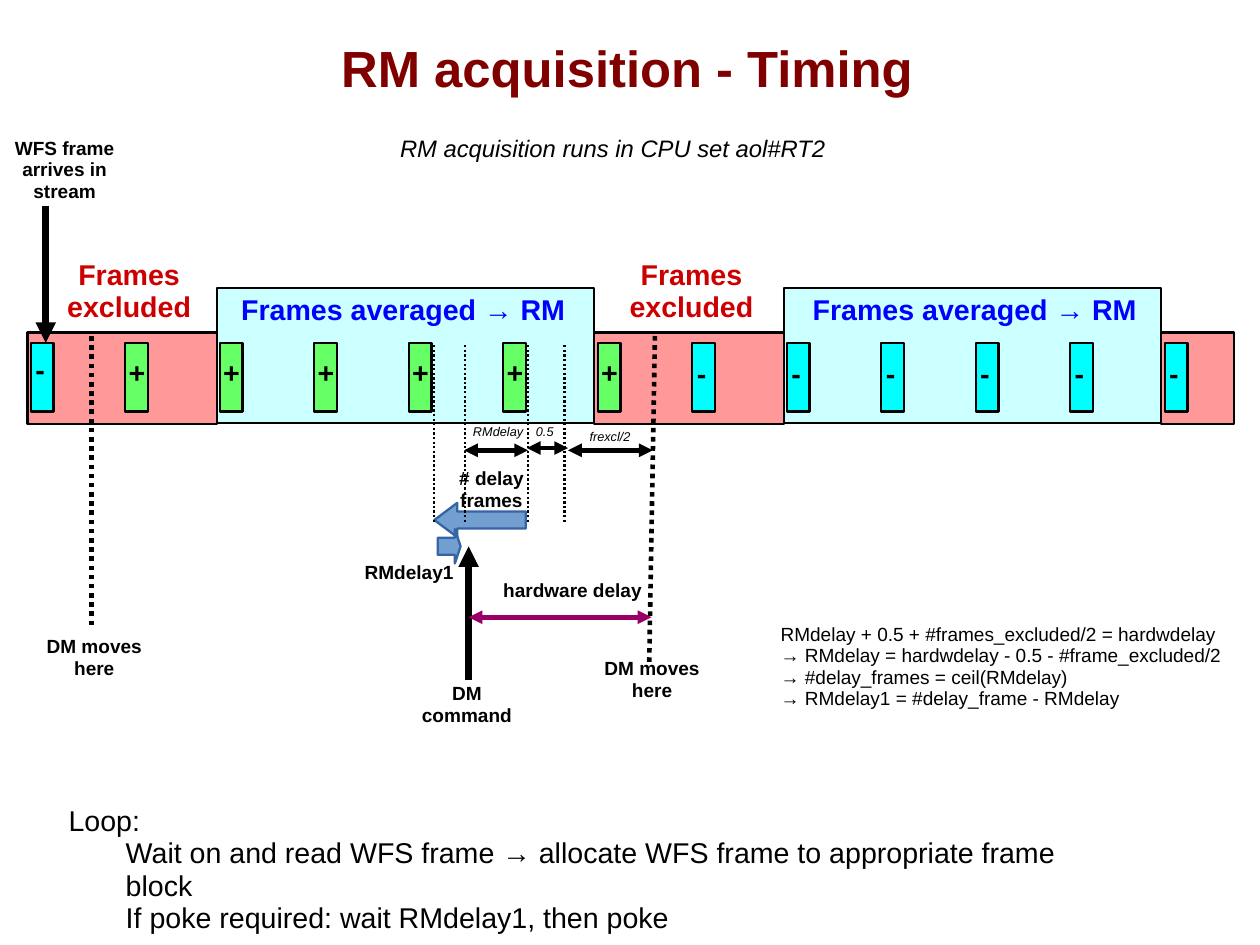
from lxml import etree
from pptx import Presentation
from pptx import util as u
from pptx.dml.color import RGBColor
from pptx.enum import dml, shapes, text
from pptx.oxml.ns import qn

Inches, Pt = u.Inches, u.Pt
LEFT, CENTER = text.PP_ALIGN.LEFT, text.PP_ALIGN.CENTER
BLACK, BLUE, RED, PURPLE = "000000", "0000FF", "CC0000", "990066"
LABEL = {"size": Pt(12), "bold": True}
HEADING = {"size": Pt(18), "bold": True}
SMALL = {"size": Pt(8), "italic": True}
CM_PER_INCH = 2.54


def color(hex_code):
    return RGBColor.from_string(hex_code)


def place(shape, left, top, width, height):
    box = {"left": left, "top": top, "width": width, "height": height}
    for name, value in box.items():
        setattr(shape, name, Inches(value))


def write(shape, lines, font, hex_code=BLACK, align=LEFT, wrap=True,
          inset=(0.11, 0.06), anchor=text.MSO_ANCHOR.TOP, indents=None):
    frame = shape.text_frame
    frame.text = "\n".join(lines)
    side, end = map(Inches, inset)
    frame_format = {"auto_size": text.MSO_AUTO_SIZE.NONE, "word_wrap": wrap,
                    "vertical_anchor": anchor, "margin_left": side,
                    "margin_right": side, "margin_top": end, "margin_bottom": end}
    for name, value in frame_format.items():
        setattr(frame, name, value)
    for index, paragraph in enumerate(frame.paragraphs):
        if indents:
            properties = paragraph._p.get_or_add_pPr()
            properties.set("marL", str(Inches(indents[index])))
            properties.set("indent", "0")
            etree.SubElement(properties, qn("a:buNone"))
        paragraph.alignment = align
        paragraph.line_spacing = 0.94
        paragraph.space_before = Pt(0)
        for name, value in {"name": "Arial", **font}.items():
            setattr(paragraph.font, name, value)
        paragraph.font.color.rgb = color(hex_code)


def add_label(slide, box, lines, font, **options):
    shape = slide.shapes.add_textbox(*map(Inches, box))
    write(shape, lines, font, **options)


def add_block(slide, box, fill, line=BLACK, kind=shapes.MSO_SHAPE.RECTANGLE):
    shape = slide.shapes.add_shape(kind, *map(Inches, box))
    shape.shadow.inherit = False
    shape.fill.solid()
    shape.fill.fore_color.rgb = color(fill)
    shape.line.color.rgb = color(line)
    shape.line.width = Pt(1.45)
    return shape


def add_line(slide, start, end, width, hex_code=BLACK, dotted=False, heads=()):
    connector = slide.shapes.add_connector(
        shapes.MSO_CONNECTOR.STRAIGHT, *map(Inches, (*start, *end)))
    connector.line.color.rgb = color(hex_code)
    connector.line.width = Pt(width)
    if dotted:
        connector.line.dash_style = dml.MSO_LINE.ROUND_DOT
    outline = connector.line._get_or_add_ln()
    for head in heads:
        etree.SubElement(outline, qn(f"a:{head}"), type="triangle")
    etree.SubElement(connector._element.spPr, qn("a:effectLst"))


def add_timeline(slide):
    # Excluded and averaged blocks
    for left, width in ((0.24, 1.66), (5.2, 1.66), (10.16, 0.64)):
        add_block(slide, (left, 2.91, width, 0.8), "FF9999")
    for left in (1.9, 6.86):
        add_block(slide, (left, 2.52, 3.3, 1.18), "CCFFFF")
    for left in (2, 7):
        add_label(slide, (left, 2.52, 3.05, 0.42), ["Frames averaged → RM"],
                  HEADING, hex_code=BLUE, wrap=False)
    for left in (0.38, 5.3):
        add_label(slide, (left, 2.21, 1.5, 0.7), ["Frames excluded"],
                  HEADING, hex_code=RED, align=CENTER)

    # Frames with the sign of the poke
    for index in range(13):
        left = 0.27 + 9.92 / 12 * index
        positive = 1 <= index <= 6
        add_block(slide, (left, 3, 0.2, 0.6), "66FF66" if positive else "00FFFF")
        sign, offset, width, top = ("+", 0.08, 0.36, 3.07) if positive else ("-", 0.07, 0.3, 3.08)
        if index == 0:
            top = 3.04
        add_label(slide, (left - offset, top, width, 0.42), [sign], HEADING, wrap=False)


def add_delays(slide):
    # Block arrows
    long_arrow = add_block(slide, (3.8, 4.4, 0.8, 0.3), "729FCF", "3465A4",
                           shapes.MSO_SHAPE.LEFT_ARROW)
    long_arrow.adjustments[1] = 0.67
    short_arrow = add_block(slide, (3.83, 4.63, 0.2, 0.3), "729FCF", "3465A4",
                            shapes.MSO_SHAPE.RIGHT_ARROW)
    short_arrow.adjustments[1] = 0.25

    # Dotted guides
    for x in (3.8, 4.07, 4.62, 4.94):
        add_line(slide, (x, 3.02), (x, 4.58), 1.45, dotted=True)
    for start, end in (((0.8, 2.94), (0.8, 5.5)), ((5.73, 2.94), (5.68, 5.8))):
        add_line(slide, start, end, 2.89, dotted=True)

    # Event arrows
    for start, end in (((0.4, 1.8), (0.4, 3)), ((4.1, 5.95), (4.1, 4.78))):
        add_line(slide, start, end, 4.31, heads=["tailEnd"])

    # Spans
    for left, right, y, hex_code in ((4.06, 4.62, 3.94, BLACK), (4.61, 4.97, 3.92, BLACK),
                                     (4.97, 5.71, 3.94, BLACK), (4.1, 5.7, 5.4, PURPLE)):
        add_line(slide, (left, y), (right, y), 2.89, hex_code, heads=["headEnd", "tailEnd"])
    for box, name in (((4.04, 3.67, 0.64, 0.23), "RMdelay"),
                      ((4.59, 3.67, 0.35, 0.23), "0.5"),
                      ((5.06, 3.71, 0.56, 0.23), "frexcl/2")):
        add_label(slide, box, [name], SMALL, wrap=False, inset=(0.1, 0.05))

    # Event and delay names
    for box, name in (((-0.01, 1.15, 1.15, 0.69), "WFS frame arrives in stream"),
                      ((3.8, 4.04, 1, 0.51), "# delay frames"),
                      ((3.08, 4.86, 1, 0.51), "RMdelay1"),
                      ((4.21, 5.02, 1.6, 0.51), "hardware delay"),
                      ((0.25, 5.51, 1.15, 0.69), "DM moves here"),
                      ((5.13, 5.7, 1.15, 0.69), "DM moves here"),
                      ((3.51, 5.92, 1.15, 0.69), "DM command")):
        add_label(slide, box, [name], LABEL, align=CENTER)


def main():
    # Slide of 28 by 21 cm
    presentation = Presentation()
    presentation.slide_width = Inches(28 / CM_PER_INCH)
    presentation.slide_height = Inches(21 / CM_PER_INCH)
    slide = presentation.slides.add_slide(presentation.slide_layouts[1])

    # Title and subtitle
    title, loop = slide.placeholders
    place(title, 0.55, 0.33, 9.88, 0.57)
    write(title, ["RM acquisition - Timing"], {"size": Pt(32), "bold": True},
          hex_code="800000", align=CENTER, inset=(0, 0), anchor=text.MSO_ANCHOR.MIDDLE)
    add_label(slide, (3.39, 1.13, 3.96, 0.37), ["RM acquisition runs in CPU set aol#RT2"],
              {"size": Pt(15), "italic": True}, wrap=False)

    add_timeline(slide)
    add_delays(slide)

    # Delay equations
    add_label(slide, (6.72, 5.4, 3.87, 1.44),
              ["RMdelay + 0.5 + #frames_excluded/2 = hardwdelay",
               "→ RMdelay = hardwdelay - 0.5 - #frame_excluded/2",
               "→ #delay_frames = ceil(RMdelay)",
               "→ RMdelay1 = #delay_frame - RMdelay"], {"size": Pt(12)}, wrap=False)

    # Loop steps
    place(loop, 0.5, 7, 9.47, 1.24)
    write(loop, ["Loop:",
                 "Wait on and read WFS frame → allocate WFS frame to appropriate frame block",
                 "If poke required: wait RMdelay1, then poke"],
          {"size": Pt(18)}, wrap=False, inset=(0.1, 0.05), indents=(0, 0.5, 0.5))

    presentation.save("out.pptx")


if __name__ == "__main__":
    main()
